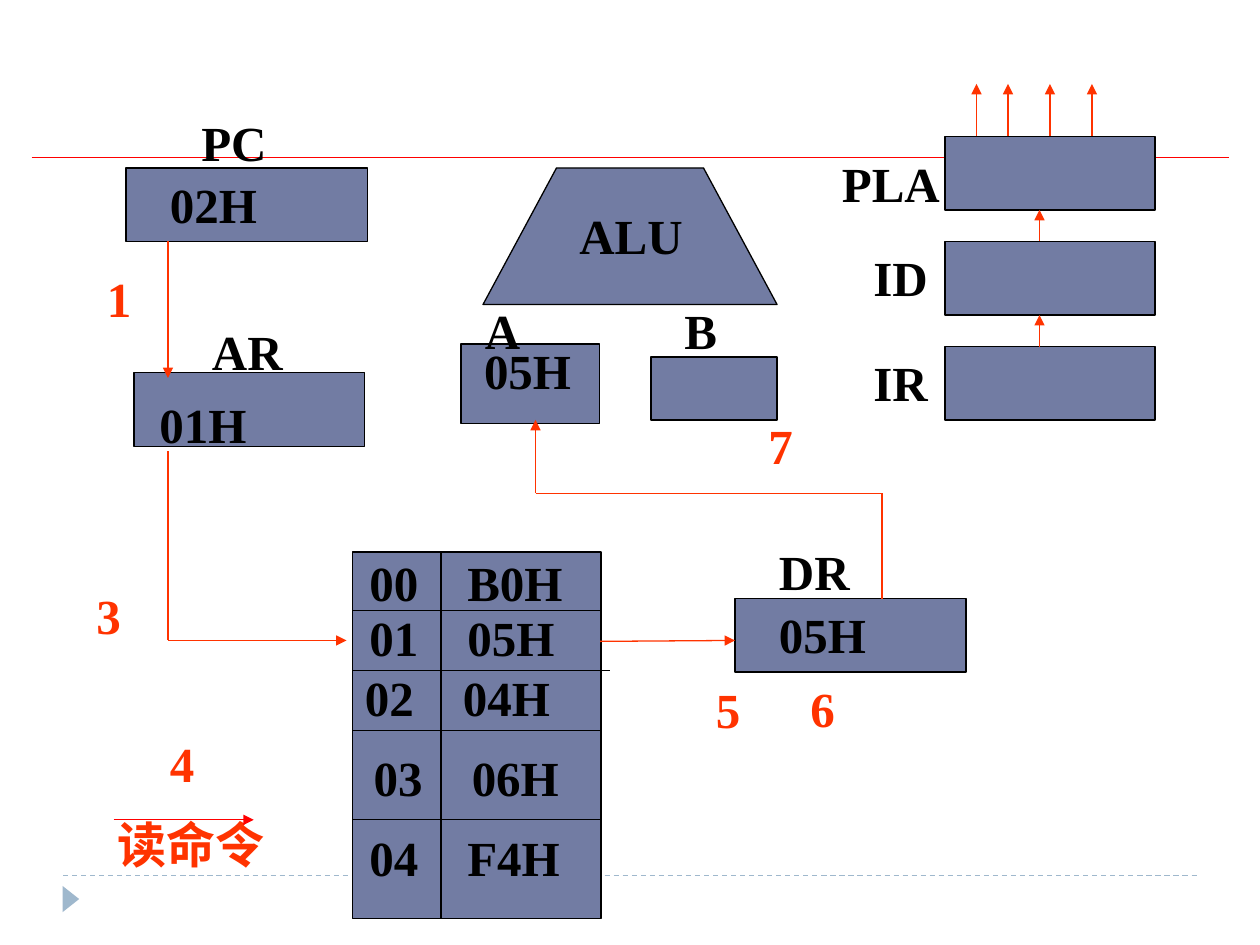
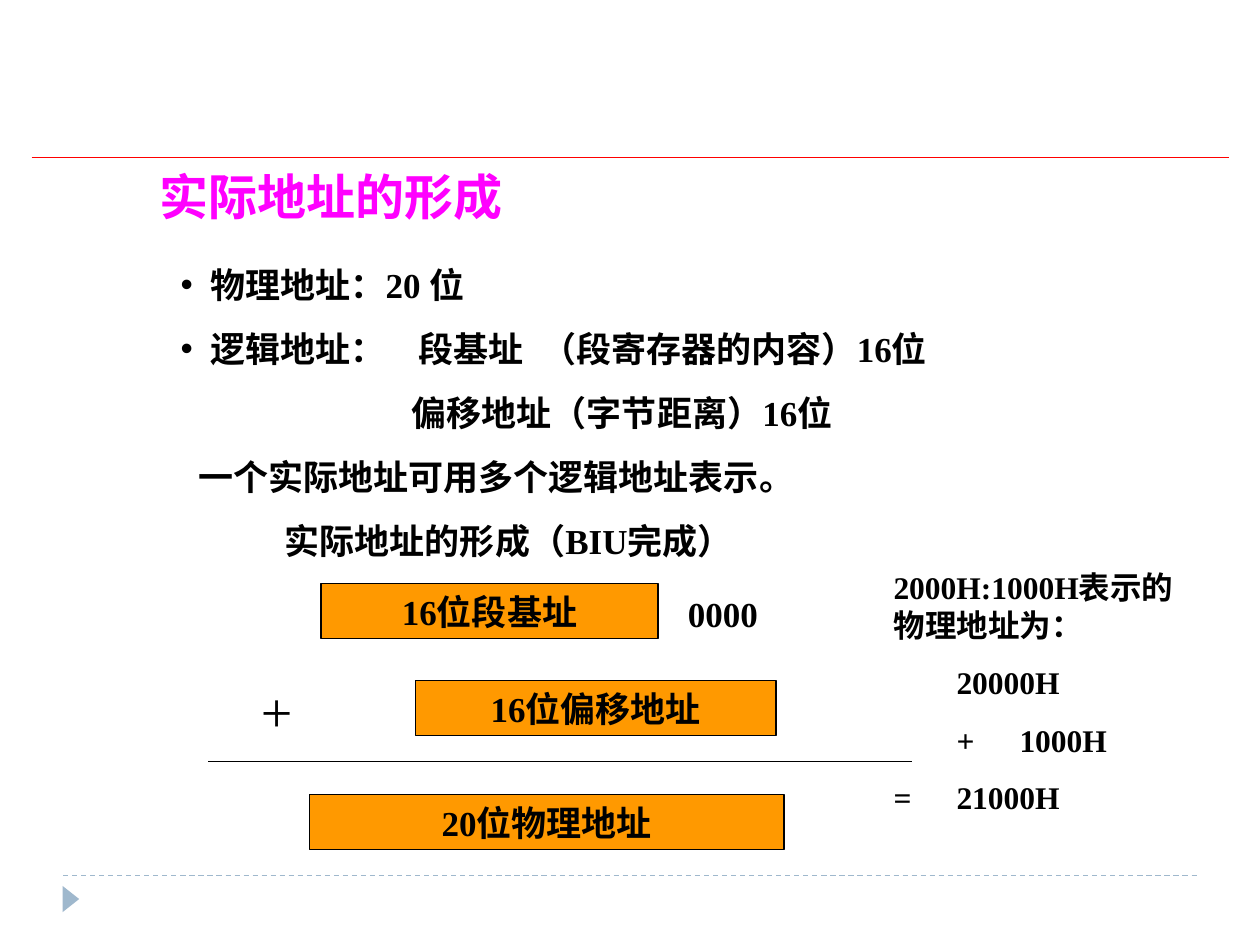
"""Build two slides: a CPU data path diagram and physical address formation."""
from dataclasses import dataclass
from itertools import pairwise

from lxml.etree import SubElement
from pptx import Presentation
from pptx.dml.color import RGBColor
from pptx.enum.dml import MSO_LINE
from pptx.enum.shapes import MSO_CONNECTOR, MSO_SHAPE
from pptx.enum.text import MSO_ANCHOR, MSO_AUTO_SIZE, PP_ALIGN
from pptx.oxml.ns import qn
from pptx.util import Pt

FONT = "Times New Roman"
COLORS = {
    "ink": "000000", "box": "727CA3", "signal": "FF3300", "rule": "FF0000",
    "footer": "9FB8CD", "title": "FF00FF", "address": "FF9900",
}


@dataclass
class Box:
    x: float
    y: float
    w: float
    h: float
    text: str = ""


@dataclass
class Label:
    text: str
    x: float
    y: float
    color: str = "ink"


@dataclass
class Wire:
    points: list
    color: str = "signal"
    arrow: bool = True


@dataclass
class Line:
    text: str
    indent: float = 0
    bullet: bool = False
    tabs: tuple = ()


REGISTERS = [
    Box(263.5, 196.5, 79, 45.5),
    Box(72, 96, 138, 42),
    Box(76.5, 213, 132, 42),
    Box(372, 204, 72, 36),
    Box(420, 342, 132, 42),
    *[Box(540, 78 + 60 * i, 120, 42) for i in range(3)],
]
MEMORY = Box(201.5, 315.5, 142, 209.5)
MEMORY_COLUMN_X = 252
MEMORY_RULES = [(349, 343.5), (383, 348.5), (417.5, 343.5), (468.5, 343.5)]
MEMORY_ROWS = [
    Label("00\tB0H", 204, 312),
    Label("01\t05H", 204, 343.5),
    Label("02\t04H", 201.5, 378),
    Label("03\t06H", 206.5, 423.5),
    Label("04\tF4H", 204, 469.5),
]
ALU = [(276, 174), (318, 96), (402, 96), (444, 174)]
LABELS = [
    Label("PC", 108, 61), Label("AR", 114, 180), Label("ALU", 324, 114),
    Label("A", 270, 168), Label("B", 384, 168), Label("DR", 438, 306),
    Label("IR", 492, 198), Label("ID", 492, 138), Label("PLA", 474, 84),
    Label("02H", 90, 96), Label("01H", 84, 222),
    Label("05H", 438, 342), Label("05H", 269.5, 191),
    Label("1", 54, 150, "signal"), Label("3", 48, 331, "signal"),
    Label("4", 90, 415.5, "signal"), Label("5", 402, 385, "signal"),
    Label("6", 456, 384, "signal"), Label("7", 432, 234, "signal"),
    Label("读命令", 60, 462, "signal"),
]
WIRES = [
    Wire([(96, 138), (96, 216)]),
    Wire([(96, 258), (96, 366), (198, 366)]),
    Wire([(343, 366.5), (420, 366)]),
    Wire([(504, 342), (504, 282), (306, 282), (306, 240)]),
    *[Wire([(594, y), (594, y - 18)]) for y in (198, 138)],
    *[Wire([(x, 78), (x, 48)]) for x in (558, 576, 600, 624)],
    Wire([(65, 468.5), (145, 468.5)], "rule"),
]
ADDRESS_LINES = [
    Line("物理地址：20 位", 17, True),
    Line("逻辑地址：\t段基址\t（段寄存器的内容）16位", 17, True,
         ((136, "l"), (206, "l"))),
    Line("偏移地址（字节距离）16位", 132),
    Line("一个实际地址可用多个逻辑地址表示。", 10),
    Line("实际地址的形成（BIU完成）", 59.5),
]
ADDRESS_BOXES = [
    Box(183.5, 333.5, 192.5, 31.5, "16位段基址"),
    Box(237.5, 389, 206, 31.5, "16位偏移地址"),
    Box(177, 454, 271, 31.5, "20位物理地址"),
]
EXAMPLE_LINES = [
    Line("2000H:1000H表示的物理地址为："),
    Line("\t20000H", tabs=((100.5, "r"),)),
    Line("\t+\t1000H", tabs=((23, "l"), (100.5, "r"))),
    Line("=\t21000H", tabs=((100.5, "r"),)),
]


def rgb(name: str) -> RGBColor:
    """Return a named palette colour."""
    return RGBColor.from_string(COLORS[name])


def style(p, size: float, color: str = "ink", bold: bool = True) -> None:
    """Format every run of a paragraph."""
    for r in p.runs:
        r.font.name, r.font.size, r.font.bold = FONT, Pt(size), bold
        r.font.color.rgb = rgb(color)


def set_tabs(p, tabs: tuple) -> None:
    """Add (position, alignment) tab stops to a paragraph."""
    if tabs:
        lst = SubElement(p._p.get_or_add_pPr(), qn("a:tabLst"))
        for pos, algn in tabs:
            SubElement(lst, qn("a:tab"), pos=str(Pt(pos)), algn=algn)


def place(s, box: Box) -> None:
    """Move and size a shape."""
    s.left, s.top, s.width, s.height = (Pt(v) for v in (box.x, box.y, box.w, box.h))


def paint(s, fill: str, outline: bool = True) -> None:
    """Give a shape a flat fill and an optional thin outline."""
    s.shadow.inherit = False
    s.fill.solid()
    s.fill.fore_color.rgb = rgb(fill)
    if outline:
        s.line.color.rgb = rgb("ink")
        s.line.width = Pt(0.75)
    else:
        s.line.fill.background()


def add_box(slide, box: Box, fill: str) -> None:
    """Draw an outlined rectangle with optional centred text."""
    s = slide.shapes.add_shape(
        MSO_SHAPE.RECTANGLE, Pt(box.x), Pt(box.y), Pt(box.w), Pt(box.h))
    paint(s, fill)
    if box.text:
        s.text_frame.text = box.text
        p = s.text_frame.paragraphs[0]
        p.alignment = PP_ALIGN.CENTER
        style(p, 20)


def add_label(slide, label: Label, size: float = 28, bold: bool = True,
              tabs: tuple = ()) -> None:
    """Draw a one-line text box."""
    s = slide.shapes.add_textbox(
        Pt(label.x), Pt(label.y), Pt(160 if tabs else 120), Pt(size * 1.2 + 7.2))
    tf = s.text_frame
    tf.word_wrap = True
    tf.text = label.text
    style(tf.paragraphs[0], size, label.color, bold)
    set_tabs(tf.paragraphs[0], tabs)


def add_wire(slide, wire: Wire, dashed: bool = False) -> None:
    """Draw straight segments, with an arrowhead on the last if asked."""
    for (x1, y1), (x2, y2) in pairwise(wire.points):
        s = slide.shapes.add_connector(
            MSO_CONNECTOR.STRAIGHT, Pt(x1), Pt(y1), Pt(x2), Pt(y2))
        s.line.color.rgb = rgb(wire.color)
        s.line.width = Pt(0.75)
        if dashed:
            s.line.dash_style = MSO_LINE.DASH
        SubElement(s._element.spPr, qn("a:effectLst"))
    if wire.arrow:
        SubElement(s.line._get_or_add_ln(), qn("a:tailEnd"), type="triangle")


def fill_lines(tf, lines: list, size: float, before: float) -> None:
    """Write paragraphs with their indents, bullets and tab stops."""
    tf.word_wrap = True
    tf.text = "\n".join(line.text for line in lines)
    for p, line in zip(tf.paragraphs, lines):
        p.space_before = Pt(before)
        style(p, size)
        pPr = p._p.get_or_add_pPr()
        pPr.set("marL", str(Pt(line.indent)))
        pPr.set("indent", str(Pt(-line.indent if line.bullet else 0)))
        if line.bullet:
            SubElement(pPr, qn("a:buChar"), char="•")
        else:
            SubElement(pPr, qn("a:buNone"))
        set_tabs(p, line.tabs)


def new_slide(prs, layout: int):
    """Add a slide with the shared rules and corner marker."""
    slide = prs.slides.add_slide(prs.slide_layouts[layout])
    add_wire(slide, Wire([(36, 500.5), (684, 500.5)], "footer", False), dashed=True)
    s = slide.shapes.add_shape(
        MSO_SHAPE.ISOSCELES_TRIANGLE, Pt(33), Pt(509), Pt(15), Pt(9.5))
    s.rotation = 90
    paint(s, "footer", outline=False)
    add_wire(slide, Wire([(18, 90), (702, 90)], "rule", False))
    return slide


def build_data_path(prs) -> None:
    """Draw registers, ALU and memory with the numbered steps."""
    slide = new_slide(prs, 6)
    for box in [*REGISTERS, MEMORY]:
        add_box(slide, box, "box")
    builder = slide.shapes.build_freeform(Pt(ALU[0][0]), Pt(ALU[0][1]))
    builder.add_line_segments([(Pt(x), Pt(y)) for x, y in ALU[1:]], close=True)
    paint(builder.convert_to_shape(), "box")
    for label in LABELS:
        add_label(slide, label)
    for row in MEMORY_ROWS:
        add_label(slide, row, tabs=((56, "l"),))
    for wire in WIRES:
        add_wire(slide, wire)
    for y, right in MEMORY_RULES:
        add_wire(slide, Wire([(MEMORY.x, y), (right, y)], "ink", False))
    column = [(MEMORY_COLUMN_X, MEMORY.y), (MEMORY_COLUMN_X, MEMORY.y + MEMORY.h)]
    add_wire(slide, Wire(column, "ink", False))


def build_address(prs) -> None:
    """Explain how a 20-bit address is formed, with an example."""
    slide = new_slide(prs, 1)
    title, body = slide.shapes.title, slide.placeholders[1]
    place(title, Box(84, 91.5, 306, 41))
    title.text_frame.text = "实际地址的形成"
    title.text_frame.paragraphs[0].alignment = PP_ALIGN.LEFT
    style(title.text_frame.paragraphs[0], 28, "title")
    place(body, Box(96, 147, 480, 177))
    fill_lines(body.text_frame, ADDRESS_LINES, 20, 12.5)
    for s in (title, body):
        s.text_frame.auto_size = MSO_AUTO_SIZE.NONE
        s.text_frame.vertical_anchor = MSO_ANCHOR.TOP
    for box in ADDRESS_BOXES:
        add_box(slide, box, "address")
    add_label(slide, Label("0000", 386, 335), 20)
    add_label(slide, Label("+", 142, 383), 32, bold=False)
    add_wire(slide, Wire([(119, 435), (521, 435)], "ink", False))
    s = slide.shapes.add_textbox(Pt(503.5), Pt(321), Pt(182), Pt(149))
    fill_lines(s.text_frame, EXAMPLE_LINES, 18, 11.25)


def main() -> None:
    """Build and save the presentation."""
    prs = Presentation()
    prs.slide_width, prs.slide_height = Pt(720), Pt(540)
    build_data_path(prs)
    build_address(prs)
    prs.save("out.pptx")


if __name__ == "__main__":
    main()
